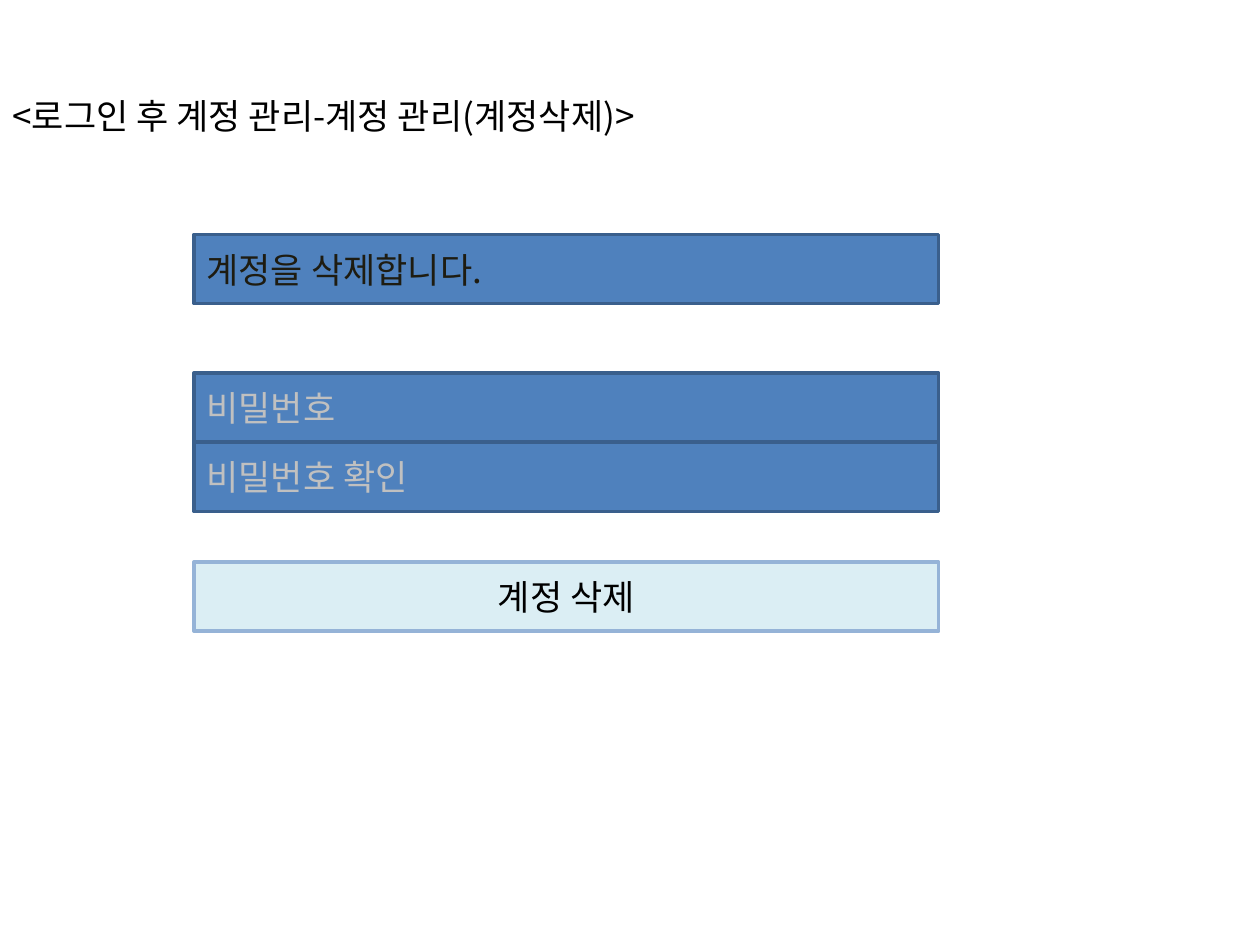
from lxml.etree import SubElement
from pptx import Presentation
from pptx.dml.color import RGBColor
from pptx.enum.shapes import MSO_SHAPE as Shape
from pptx.enum.text import MSO_ANCHOR as Anchor, PP_ALIGN as Align
from pptx.oxml.ns import qn
from pptx.util import Pt

FONT = "Noto Sans CJK KR"
BLACK = RGBColor(0x00, 0x00, 0x00)
DARK = RGBColor(0x1E, 0x1C, 0x11)
HINT = RGBColor(0xC0, 0xC0, 0xC0)
BLUE = RGBColor(0x4F, 0x81, 0xBD)
BLUE_EDGE = RGBColor(0x3A, 0x5F, 0x8C)
PALE = RGBColor(0xDB, 0xEE, 0xF4)
PALE_EDGE = RGBColor(0x95, 0xB3, 0xD7)

FORM_LEFT, FORM_WIDTH, ROW_HEIGHT = 110.9, 425.5, 39.6
NOTICE_TOP, PASSWORD_TOP, BUTTON_TOP = 133.9, 213.1, 321.1


def write(frame, text, color=BLACK, size=20, align=Align.LEFT):
    """Put one formatted, vertically centred line into a text frame."""
    frame.word_wrap = True
    frame.vertical_anchor = Anchor.MIDDLE
    paragraph = frame.paragraphs[0]
    paragraph.alignment = align
    run = paragraph.add_run()
    run.text = text
    run.font.size = Pt(size)
    run.font.color.rgb = color
    run.font.name = FONT
    SubElement(run.font._element, qn("a:ea"), typeface=FONT)


def add_heading(slide, text):
    """Add the screen name above the form."""
    heading = slide.shapes.add_textbox(Pt(0), Pt(37.4), Pt(654.5), Pt(56.9))
    write(heading.text_frame, text)


def add_row(slide, top, text, fill=BLUE, edge=BLUE_EDGE, **text_format):
    """Add one full-width bar of the form."""
    row = slide.shapes.add_shape(
        Shape.RECTANGLE, Pt(FORM_LEFT), Pt(top), Pt(FORM_WIDTH), Pt(ROW_HEIGHT))
    row.shadow.inherit = False
    row.fill.solid()
    row.fill.fore_color.rgb = fill
    row.line.color.rgb = edge
    row.line.width = Pt(2)
    write(row.text_frame, text, **text_format)


def main():
    """Build the account deletion screen."""
    deck = Presentation()
    deck.slide_width, deck.slide_height = Pt(720), Pt(540)
    slide = deck.slides.add_slide(deck.slide_layouts[6])
    add_heading(slide, "<로그인 후 계정 관리-계정 관리(계정삭제)>")
    add_row(slide, NOTICE_TOP, "계정을 삭제합니다.", color=DARK)
    for index, hint in enumerate(["비밀번호", "비밀번호 확인"]):
        add_row(slide, PASSWORD_TOP + index * ROW_HEIGHT, hint, color=HINT)
    add_row(slide, BUTTON_TOP, "계정 삭제", PALE, PALE_EDGE, align=Align.CENTER)
    deck.save("out.pptx")


if __name__ == "__main__":
    main()
